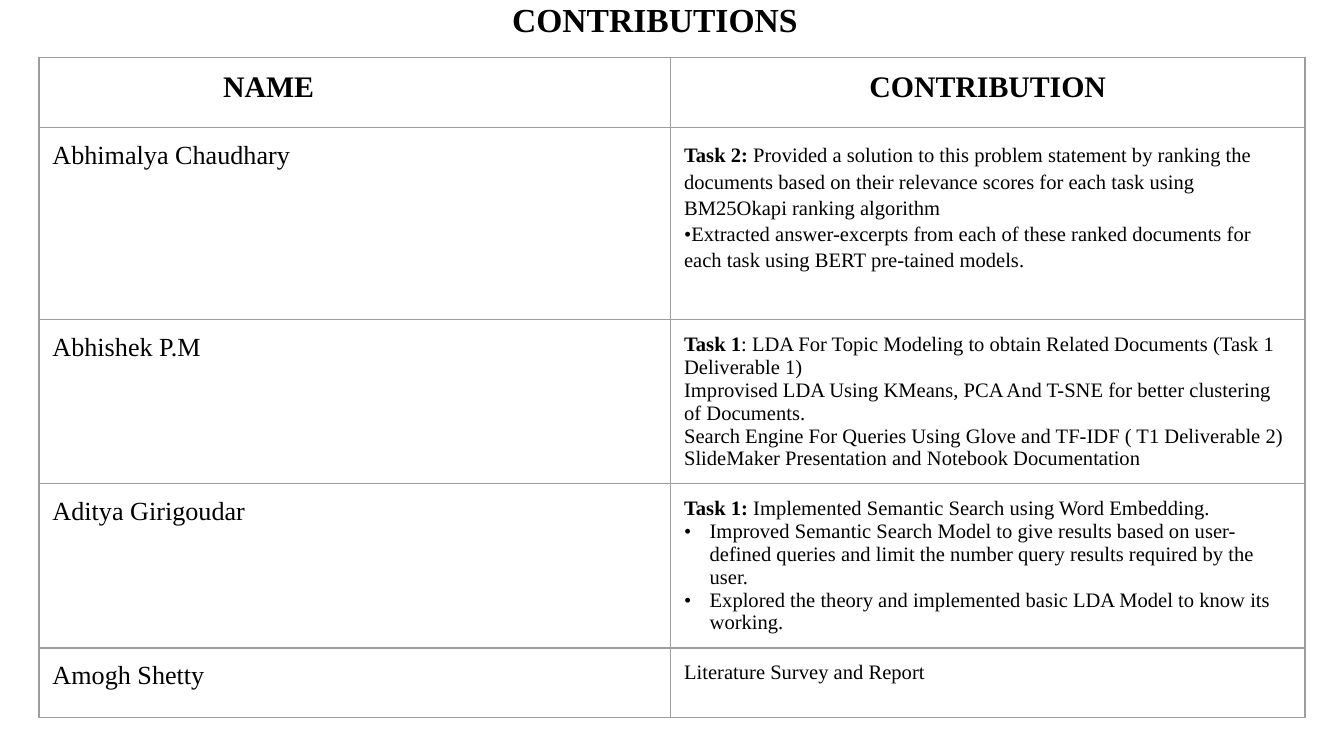
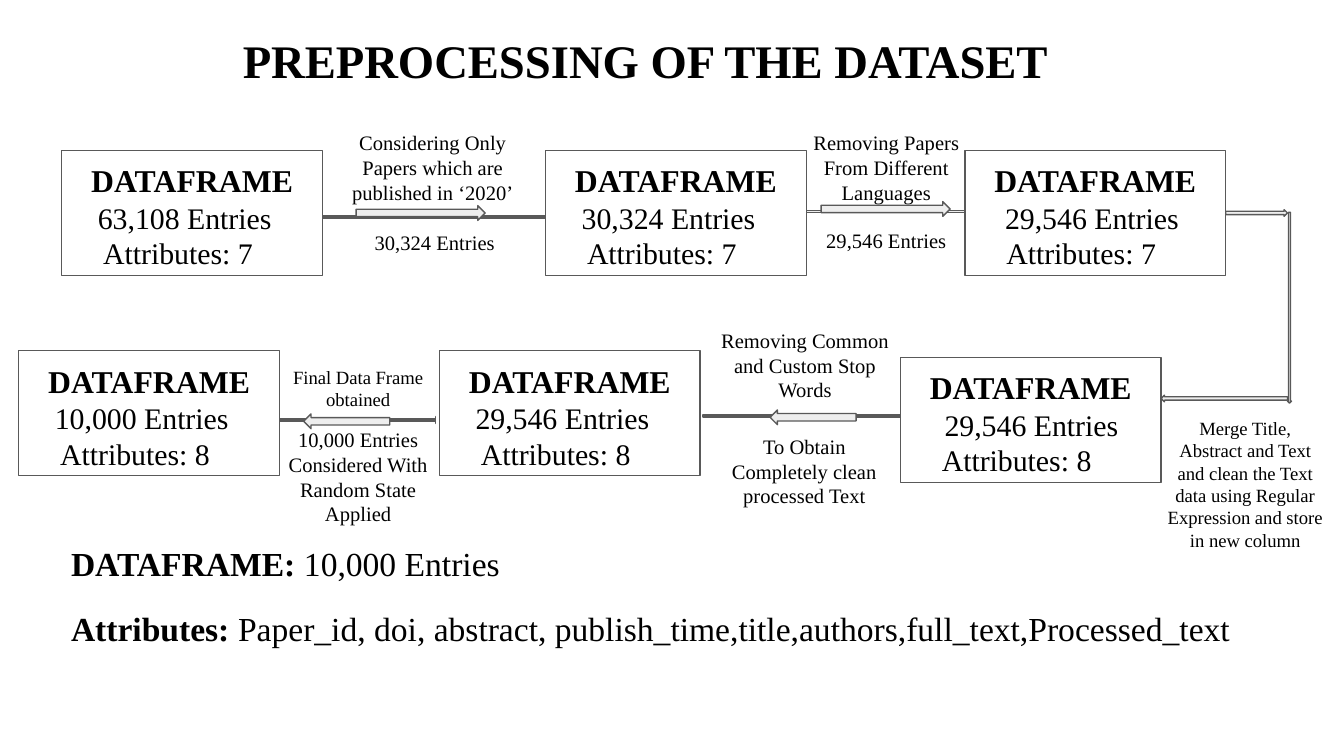
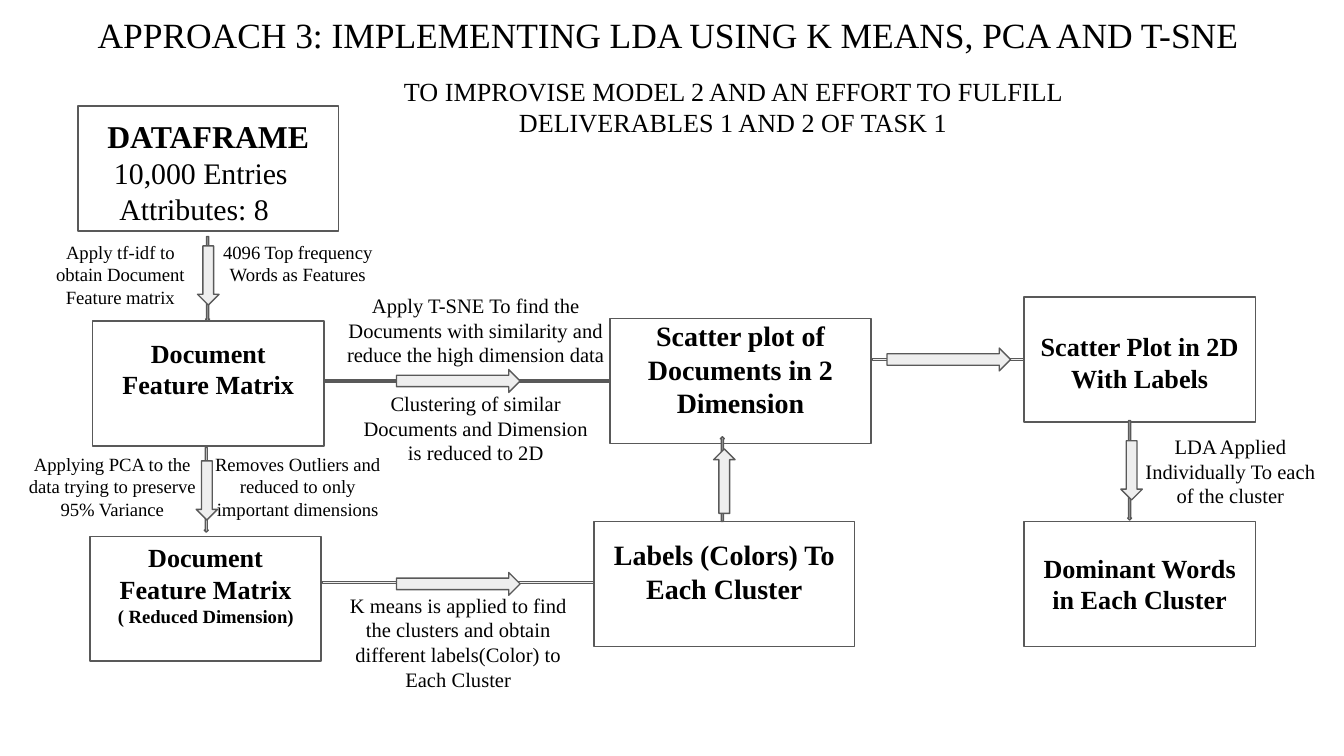
from dataclasses import dataclass

from lxml import etree
from pptx import Presentation
from pptx.dml.color import RGBColor
from pptx.enum.shapes import MSO_SHAPE
from pptx.enum.text import MSO_ANCHOR, MSO_AUTO_SIZE, PP_ALIGN
from pptx.oxml.ns import qn
from pptx.util import Emu, Pt

PX = 9144  # 100 px to the inch
WIDTH = 1000
FONT = "Times New Roman"
BLACK, WHITE, GREY, PALE, BORDER = "000000", "FFFFFF", "595959", "EEEEEE", "9E9E9E"
LEFT, CENTER = PP_ALIGN.LEFT, PP_ALIGN.CENTER
INSET = 10
TITLE_ONLY = 5


@dataclass
class Line:
    """One paragraph: spans are (text, size in points, bold)."""
    spans: list
    align: PP_ALIGN = LEFT
    indent: int = 0
    hang: int = 0
    bullet: bool = False
    spacing: float = 1.0


def plain(text, size, **options):
    return Line([(text, size, False)], **options)


def bold(text, size, **options):
    return Line([(text, size, True)], **options)


def labelled(label, text, size, **options):
    return Line([(label, size, True), (text, size, False)], **options)


# Contributions
CONTRIBUTIONS_TITLE = bold("CONTRIBUTIONS", 18, indent=337)
COLUMNS, ROWS = (470, 472), (52, 143, 118, 102, 52)
HEADER = ([bold("NAME", 16, indent=127)], [bold("CONTRIBUTION", 16, align=CENTER)])
MEMBERS = [
    ("Abhimalya Chaudhary", [
        labelled("Task 2: ", "Provided a solution to this problem statement by ranking the documents "
                 "based on their relevance scores for each task using BM25Okapi ranking algorithm",
                 11, spacing=1.15),
        plain("Extracted answer-excerpts from each of these ranked documents for each task "
              "using BERT pre-tained models.", 11, bullet=True, spacing=1.15),
    ]),
    ("Abhishek P.M", [
        labelled("Task 1", ": LDA For Topic Modeling to obtain Related Documents (Task 1", 11),
        plain("Deliverable 1)", 11),
        plain("Improvised LDA Using KMeans, PCA And T-SNE for better clustering of Documents.", 11),
        plain("Search Engine For Queries Using Glove and TF-IDF ( T1 Deliverable 2)", 11),
        plain("SlideMaker Presentation and Notebook Documentation", 11),
    ]),
    ("Aditya Girigoudar", [
        labelled("Task 1: ", "Implemented Semantic Search using Word Embedding.", 11),
        plain("Improved Semantic Search Model to give results based on user-defined queries and "
              "limit the number query results required by the user.", 11,
              indent=19, hang=19, bullet=True),
        plain("Explored the theory and implemented basic LDA Model to know its working.", 11,
              indent=19, hang=19, bullet=True),
    ]),
    ("Amogh Shetty", [plain("Literature Survey and Report", 11)]),
]

# Arrows are (direction, left, top, width, height); links are thin, arrows are thick.
# Data frames are (left, top, entries, attributes, indent of the entries line).
# Captions are (left, top, width, height, size, paragraphs).
FRAME_SIZE = (194, 93)
FRAME_SPACE = 8

PREPROCESSING = {
    "title": bold("PREPROCESSING OF THE DATASET", 25, align=CENTER),
    "title_place": (14, 14, 932, 63),
    "links": [
        ("line", 240, 159, 166, 5), ("line", 600, 155, 118, 5),
        ("right", 912, 156, 46, 5), ("down", 958, 158, 3, 142), ("left", 864, 294, 94, 5),
        ("line", 523, 307, 147, 5), ("line", 208, 310, 116, 5),
    ],
    "frames": [
        (46, 112, "63,108", 7, 17), (406, 112, "30,324", 7, 17), (718, 112, "29,546", 7, 20),
        (14, 261, "10,000", 8, 17), (327, 261, "29,546", 8, 17), (670, 266, "29,546", 8, 23),
    ],
    "steps": [],
    "captions": [
        (244, 87, 156, 63, 11, ["Considering Only Papers which are published in ‘2020’"]),
        (250, 161, 147, 63, 11, ["30,324 Entries"]),
        (591, 87, 137, 63, 11, ["Removing Papers From Different", "Languages"]),
        (586, 160, 147, 63, 11, ["29,546 Entries"]),
        (858, 300, 137, 160, 10, ["Merge Title, Abstract and Text and clean the Text data using "
                                  "Regular Expression and store in new column"]),
        (521, 234, 156, 63, 11, ["Removing Common and Custom Stop Words"]),
        (525, 313, 147, 63, 11, ["To Obtain Completely clean processed Text"]),
        (193, 262, 147, 93, 10, ["Final Data Frame obtained"]),
        (193, 308, 147, 63, 11, ["10,000 Entries Considered With Random State Applied"]),
    ],
    "arrows": [
        ("right", 265, 153, 96, 11), ("right", 611, 150, 96, 11),
        ("left", 573, 305, 64, 11), ("left", 226, 308, 64, 11),
    ],
}
SUMMARY = [
    ((43, 394, 349, 44), labelled("DATAFRAME: ", "10,000 Entries", 18)),
    ((43, 442, 915, 44), labelled("Attributes: ", "Paper_id, doi, abstract, publish_time,title,"
                                  "authors,full_text,Processed_text", 18)),
]

# Steps are (left, top, width, space above the text, [(text, size), ...]).
APPROACH = {
    "title": plain("APPROACH 3: IMPLEMENTING LDA USING K MEANS, PCA AND T-SNE", 19, align=CENTER),
    "title_place": (31, 0, 932, 48),
    "links": [
        ("line", 240, 281, 218, 5), ("line", 649, 265, 114, 5), ("line", 240, 431, 202, 5),
        ("down", 153, 176, 3, 63), ("down", 152, 333, 3, 63),
    ],
    "frames": [(58, 79, "10,000", 8, 17)],
    "steps": [
        (69, 239, 172, 12, [("Document Feature Matrix", 14)]),
        (67, 399, 172, 4, [("Document Feature Matrix", 14), ("( Reduced Dimension)", 10)]),
        (454, 237, 194, 0, [("Scatter plot of Documents in 2 Dimension", 15)]),
        (442, 388, 194, 12, [("Labels (Colors) To Each Cluster", 15)]),
        (762, 221, 172, 25, [("Scatter Plot in 2D With Labels", 14)]),
        (762, 388, 172, 23, [("Dominant Words in Each Cluster", 14)]),
    ],
    "captions": [
        (265, 46, 561, 74, 14, ["TO IMPROVISE MODEL 2 AND AN EFFORT TO FULFILL "
                                "DELIVERABLES 1 AND 2 OF TASK 1"]),
        (24, 169, 131, 63, 10, ["Apply tf-idf to obtain Document Feature matrix"]),
        (156, 169, 131, 63, 10, ["4096 Top frequency Words as Features"]),
        (245, 208, 218, 63, 11, ["Apply T-SNE To find the Documents with similarity and reduce "
                                 "the high dimension data"]),
        (257, 281, 194, 63, 11, ["Clustering of similar Documents and Dimension is reduced to 2D"]),
        (6, 327, 155, 74, 10, ["Applying PCA to the data trying to preserve 95% Variance"]),
        (148, 327, 147, 63, 10, ["Removes Outliers and reduced to only important dimensions"]),
        (248, 431, 186, 102, 11, ["K means is applied to find the clusters and obtain different "
                                  "labels(Color) to Each Cluster"]),
        (842, 313, 147, 102, 11, ["LDA Applied Individually To each of the cluster"]),
    ],
    "arrows": [
        ("up", 536, 325, 3, 63), ("down", 839, 313, 3, 74),
        ("down", 147, 183, 16, 44), ("down", 146, 343, 16, 44),
        ("right", 295, 275, 92, 17), ("right", 295, 426, 92, 17),
        ("up", 531, 334, 16, 48), ("right", 660, 259, 92, 17), ("down", 834, 328, 16, 44),
    ],
}

ARROWS = {
    "line": MSO_SHAPE.RIGHT_ARROW, "right": MSO_SHAPE.RIGHT_ARROW, "left": MSO_SHAPE.LEFT_ARROW,
    "up": MSO_SHAPE.UP_ARROW, "down": MSO_SHAPE.DOWN_ARROW,
}


def px(*lengths):
    return [Emu(length * PX) for length in lengths]


def color(value):
    return RGBColor.from_string(value)


def write(frame, lines):
    for number, line in enumerate(lines):
        para = frame.paragraphs[0] if number == 0 else frame.add_paragraph()
        properties = para._p.get_or_add_pPr()
        properties.set("marL", str(line.indent * PX))
        properties.set("indent", str(-line.hang * PX))
        if line.bullet:
            etree.SubElement(properties, qn("a:buFont")).set("typeface", FONT)
            etree.SubElement(properties, qn("a:buChar")).set("char", "•")
        else:
            etree.SubElement(properties, qn("a:buNone"))
        para.alignment = line.align
        para.line_spacing = line.spacing
        for text, size, is_bold in line.spans:
            span = para.add_run()
            span.text = text
            span.font.name = FONT
            span.font.size = Pt(size)
            span.font.bold = is_bold
            span.font.color.rgb = color(BLACK)


def fill_frame(shape, lines, top=INSET):
    """Write top-anchored, wrapped text inside even insets."""
    frame = shape.text_frame
    frame.word_wrap = True
    frame.auto_size = MSO_AUTO_SIZE.NONE
    frame.vertical_anchor = MSO_ANCHOR.TOP
    frame.margin_left, frame.margin_top, frame.margin_right, frame.margin_bottom = px(
        INSET, top, INSET, 0)
    write(frame, lines)


def add_page(deck, title, place):
    page = deck.slides.add_slide(deck.slide_layouts[TITLE_ONLY])
    box = page.shapes.title
    box.left, box.top, box.width, box.height = px(*place)
    fill_frame(box, [title])
    return page


def add_text(page, place, lines):
    fill_frame(page.shapes.add_textbox(*px(*place)), lines)


def add_outlined(page, kind, place, fill):
    shape = page.shapes.add_shape(kind, *px(*place))
    shape.shadow.inherit = False
    shape.fill.solid()
    shape.fill.fore_color.rgb = color(fill)
    shape.line.color.rgb = color(GREY)
    shape.line.width = Pt(0.75)
    return shape


def add_arrow(page, direction, *place):
    arrow = add_outlined(page, ARROWS[direction], place, PALE)
    if direction == "line":
        arrow.adjustments[0], arrow.adjustments[1] = 0.33, 0


def add_data_frame(page, left, top, entries, attributes, indent):
    box = add_outlined(page, MSO_SHAPE.RECTANGLE, (left, top, *FRAME_SIZE), WHITE)
    fill_frame(box, [
        bold("DATAFRAME", 17, align=CENTER),
        plain(f"{entries} Entries", 16, indent=indent),
        plain(f"Attributes: {attributes}", 16, indent=21),
    ], FRAME_SPACE)


def add_step(page, left, top, width, space, texts):
    box = add_outlined(page, MSO_SHAPE.RECTANGLE, (left, top, width, FRAME_SIZE[1]), WHITE)
    fill_frame(box, [bold(text, size, align=CENTER) for text, size in texts], space)


def add_flow(deck, flow):
    page = add_page(deck, flow["title"], flow["title_place"])
    for link in flow["links"]:
        add_arrow(page, *link)
    for data_frame in flow["frames"]:
        add_data_frame(page, *data_frame)
    for step in flow["steps"]:
        add_step(page, *step)
    for *place, size, texts in flow["captions"]:
        add_text(page, place, [plain(text, size, align=CENTER) for text in texts])
    for arrow in flow["arrows"]:
        add_arrow(page, *arrow)
    return page


def style_cell(cell):
    cell.fill.background()
    cell.margin_left, cell.margin_top, cell.margin_right, cell.margin_bottom = px(*[INSET] * 4)
    properties = cell._tc.get_or_add_tcPr()
    for position, side in enumerate(("lnL", "lnR", "lnT", "lnB")):
        border = etree.Element(qn(f"a:{side}"), w=str(Pt(0.75)))
        solid = etree.SubElement(border, qn("a:solidFill"))
        etree.SubElement(solid, qn("a:srgbClr"), val=BORDER)
        properties.insert(position, border)


def add_contributions(deck):
    page = add_page(deck, CONTRIBUTIONS_TITLE, (34, -11, 932, 63))
    place = px(29, 43, sum(COLUMNS), sum(ROWS))
    table = page.shapes.add_table(len(ROWS), len(COLUMNS), *place).table
    table.first_row = table.horz_banding = False
    for column, width in zip(table.columns, px(*COLUMNS)):
        column.width = width
    for row, height in zip(table.rows, px(*ROWS)):
        row.height = height
    content = [HEADER] + [([plain(name, 14)], tasks) for name, tasks in MEMBERS]
    for row, texts in zip(table.rows, content):
        for cell, lines in zip(row.cells, texts):
            style_cell(cell)
            write(cell.text_frame, lines)


def main():
    deck = Presentation()
    deck.slide_width, deck.slide_height = px(WIDTH, WIDTH * 9 / 16)
    add_contributions(deck)
    preprocessing = add_flow(deck, PREPROCESSING)
    for place, line in SUMMARY:
        add_text(preprocessing, place, [line])
    add_flow(deck, APPROACH)
    deck.save("out.pptx")


if __name__ == "__main__":
    main()
